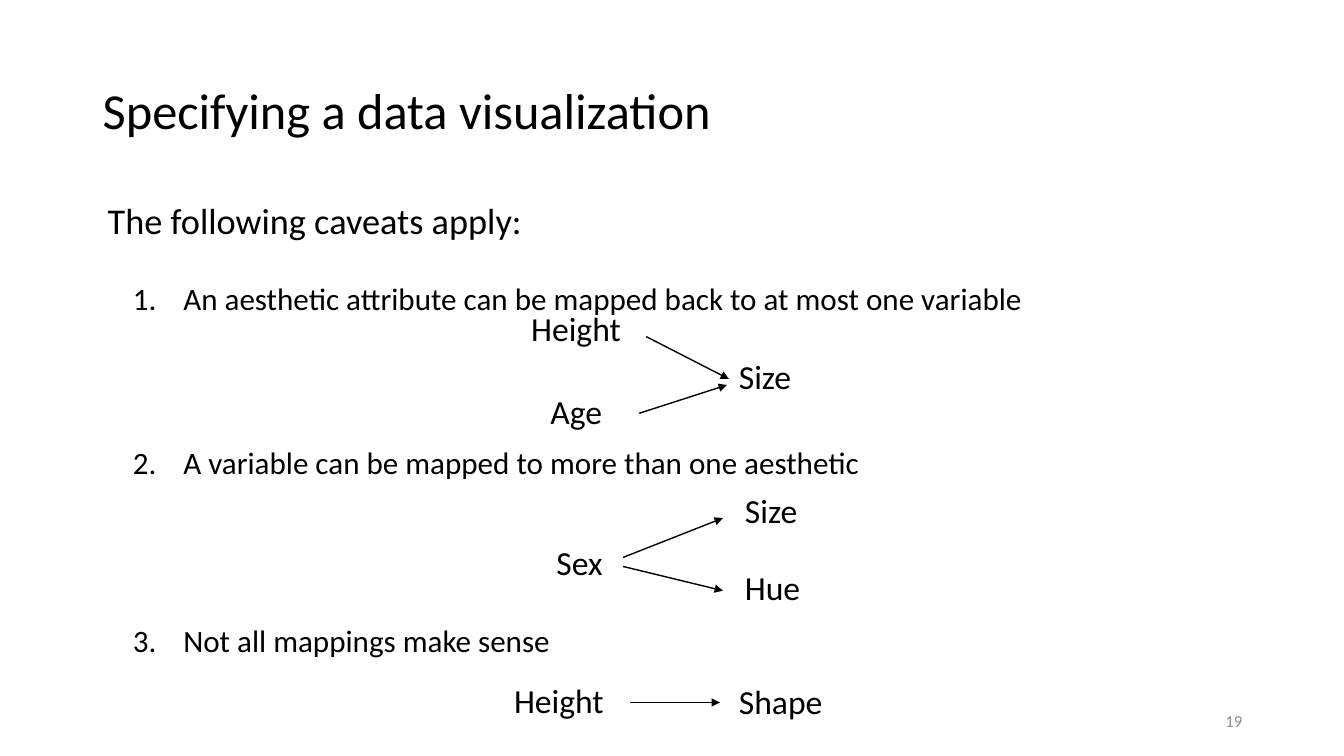
from lxml import etree
from pptx import Presentation, util as u
from pptx.dml.color import RGBColor
from pptx.enum import shapes, text
from pptx.oxml.ns import qn

PX = 9144  # 100 px to the inch
BLACK = "000000"

# label, left, top, width, height
LABELS = [
    ("Height", 517, 305, 110, 46),
    ("Age", 536, 387, 72, 46),
    ("Size", 723, 353, 73, 46),
    ("Sex", 542, 537, 66, 46),
    ("Size", 729, 486, 73, 46),
    ("Hue", 729, 562, 76, 46),
    ("Height", 500, 674, 110, 46),
    ("Shape", 723, 675, 104, 46),
]

# from x, from y, to x, to y
ARROWS = [
    (641, 334, 723, 376),
    (634, 410, 721, 382),
    (618, 553, 717, 514),
    (618, 562, 717, 586),
    (625, 697, 714, 697),
]

# caveat, points of space before
CAVEATS = [
    ("An aesthetic attribute can be mapped back to at most one variable", 32),
    ("A variable can be mapped to more than one aesthetic", 96),
    ("Not all mappings make sense", 106),
]


def px(*lengths):
    return [u.Emu(length * PX) for length in lengths]


def color(hex_value):
    return RGBColor.from_string(hex_value)


def write(paragraph, words, size, ink=BLACK, spacing=0.9, before=0,
          align=text.PP_ALIGN.LEFT):
    paragraph.text = words
    paragraph.alignment = align
    paragraph.line_spacing = spacing
    paragraph.space_before = u.Pt(before)
    font = paragraph.font
    font.name, font.size = "Calibri", u.Pt(size)
    font.color.rgb = color(ink)


def indent(paragraph, left, first=0):
    properties = paragraph._p.get_or_add_pPr()
    properties.set("marL", str(left * PX))
    properties.set("indent", str(first * PX))
    return properties


def add_frame(slide, box, wrap=True, anchor=text.MSO_ANCHOR.TOP):
    frame = slide.shapes.add_textbox(*px(*box)).text_frame
    frame.word_wrap = wrap
    frame.vertical_anchor = anchor
    return frame


def add_text(slide, words, box, size, wrap=True,
             anchor=text.MSO_ANCHOR.TOP, **style):
    frame = add_frame(slide, box, wrap, anchor)
    write(frame.paragraphs[0], words, size, **style)


def add_caveats(slide):
    frame = add_frame(slide, (92, 200, 1150, 476))
    intro = frame.paragraphs[0]
    indent(intro, 5)
    write(intro, "The following caveats apply:", 25.9, spacing=0.8)
    for caveat, before in CAVEATS:
        paragraph = frame.add_paragraph()
        properties = indent(paragraph, 80, -50)
        etree.SubElement(properties, qn("a:buFont"), typeface="+mj-lt")
        etree.SubElement(properties, qn("a:buAutoNum"), type="arabicPeriod")
        write(paragraph, caveat, 22.2, spacing=0.8, before=before)


def add_arrow(slide, *ends):
    arrow = slide.shapes.add_connector(shapes.MSO_CONNECTOR.STRAIGHT, *px(*ends))
    arrow.line.color.rgb = color(BLACK)
    arrow.line.width = u.Pt(1)
    properties = arrow._element.spPr
    etree.SubElement(properties.find(qn("a:ln")), qn("a:tailEnd"), type="triangle")
    etree.SubElement(properties, qn("a:effectLst"))


def main():
    presentation = Presentation()
    presentation.slide_width, presentation.slide_height = px(1333, 750)
    slide = presentation.slides.add_slide(presentation.slide_layouts[6])
    middle = text.MSO_ANCHOR.MIDDLE

    add_text(slide, "Specifying a data visualization", (92, 40, 1150, 145), 36,
             anchor=middle)
    add_caveats(slide)
    for label, *box in LABELS:
        add_text(slide, label, box, 24, wrap=False)
    for ends in ARROWS:
        add_arrow(slide, *ends)
    add_text(slide, "19", (942, 695, 300, 40), 12, anchor=middle, ink="8C8C8C",
             spacing=1.0, align=text.PP_ALIGN.RIGHT)

    presentation.save("out.pptx")


if __name__ == "__main__":
    main()
